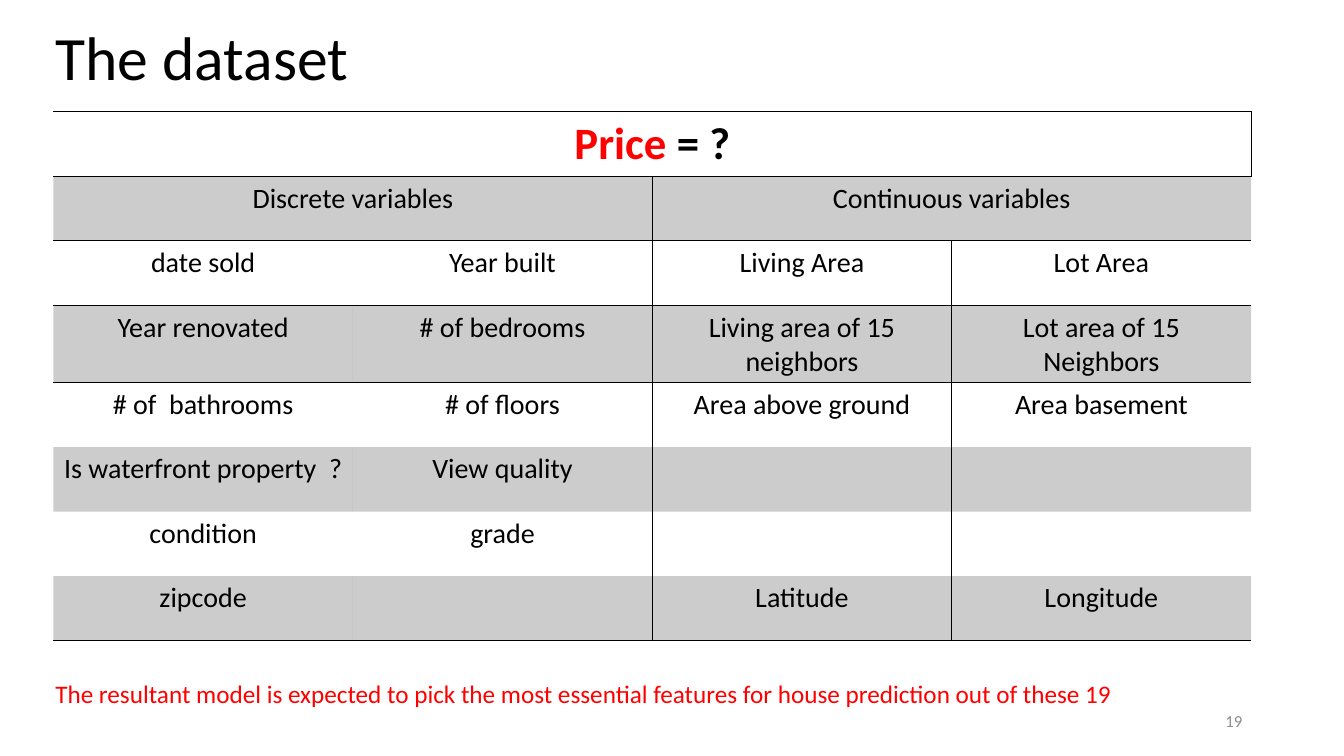
from lxml import etree
from pptx import Presentation
from pptx.dml.color import RGBColor
from pptx.enum.text import MSO_ANCHOR, PP_ALIGN
from pptx.oxml.ns import qn
from pptx.util import Inches, Pt

LEFT, CENTER, RIGHT = PP_ALIGN.LEFT, PP_ALIGN.CENTER, PP_ALIGN.RIGHT
TOP, MIDDLE = MSO_ANCHOR.TOP, MSO_ANCHOR.MIDDLE
FONT = "Calibri"
BLACK, RED, GRAY = "000000", "FF0000", "8C8C8C"
PLAIN_STYLE = "{2D5ABB26-0587-4C30-8999-92F81FD0307C}"
ROW_HEIGHT, COLUMN_WIDTH = 0.64, 2.97
TITLE_LAYOUT = 5

HEADINGS = ["Discrete variables", "", "Continuous variables", ""]
FEATURES = [
    ["date sold", "Year built", "Living Area", "Lot Area"],
    ["Year renovated", "# of bedrooms",
     "Living area of 15\nneighbors", "Lot area of 15\nNeighbors"],
    ["# of  bathrooms", "# of floors", "Area above ground", "Area basement"],
    ["Is waterfront property  ?", "View quality", "", ""],
    ["condition", "grade", "", ""],
    ["zipcode", "", "Latitude", "Longitude"],
]
# Horizontal rules by row edge, and the first row of each vertical rule
RULED_EDGES = {0, 1, 2, 3, 8}
VERTICAL_STARTS = {2: 1, 3: 2}


def rgb(color):
    return RGBColor.from_string(color)


def write(frame, text, size=20, color=BLACK, bold=False, align=LEFT,
          anchor=TOP, spacing=None, lead="", lead_color=RED):
    """Write one paragraph per line; lead is a coloured opening run."""
    frame.word_wrap = True
    frame.vertical_anchor = anchor
    for number, line in enumerate(text.split("\n")):
        paragraph = frame.add_paragraph() if number else frame.paragraphs[0]
        paragraph.alignment = align
        paragraph.line_spacing = spacing
        paragraph.font.size = Pt(size)
        for part, part_color in ((lead, lead_color), (line, color)):
            if part:
                run = paragraph.add_run()
                run.text = part
                run.font.name = FONT
                run.font.size = Pt(size)
                run.font.bold = bold
                run.font.color.rgb = rgb(part_color)


def add_label(slide, text, left, top, width, height, **text_format):
    label = slide.shapes.add_textbox(
        Inches(left), Inches(top), Inches(width), Inches(height))
    write(label.text_frame, text, **text_format)


def add_title(slide, text):
    title = slide.shapes.title
    title.left, title.top = Inches(0.45), Inches(0.15)
    title.width, title.height = Inches(11.5), Inches(0.9)
    write(title.text_frame, text, size=44, anchor=MIDDLE, spacing=0.9)


def rule_cell(cell, sides):
    """Draw black borders on the given sides, in the order L, R, T, B."""
    properties = cell._tc.get_or_add_tcPr()
    for side in sides:
        line = etree.SubElement(properties, qn(f"a:ln{side}"), w=str(Pt(1)))
        fill = etree.SubElement(line, qn("a:solidFill"))
        etree.SubElement(fill, qn("a:srgbClr"), val=BLACK)


def shade_cell(cell):
    """Fill with black at 20 % opacity."""
    cell.fill.solid()
    cell.fill.fore_color.rgb = rgb(BLACK)
    color = cell._tc.tcPr.find(f"{qn('a:solidFill')}/{qn('a:srgbClr')}")
    etree.SubElement(color, qn("a:alpha"), val="20000")


def format_cell(cell, row, column):
    def vertical(edge):
        return row >= VERTICAL_STARTS.get(edge, 99)

    right_edge = column + (cell.span_width if cell.is_merge_origin else 1)
    ruled = {
        "L": vertical(column),
        "R": vertical(right_edge) or row == 0,
        "T": row in RULED_EDGES,
        "B": row + 1 in RULED_EDGES,
    }
    rule_cell(cell, [side for side, shown in ruled.items() if shown])
    if row % 2:
        shade_cell(cell)
    else:
        cell.fill.background()


def add_feature_table(slide):
    rows = [["", "", "", ""], HEADINGS, *FEATURES]
    table = slide.shapes.add_table(
        len(rows), 4, Inches(0.53), Inches(1.11),
        Inches(4 * COLUMN_WIDTH), Inches(len(rows) * ROW_HEIGHT)).table
    table.first_row = table.horz_banding = False
    table._tbl.tblPr.find(qn("a:tableStyleId")).text = PLAIN_STYLE
    for column in table.columns:
        column.width = Inches(COLUMN_WIDTH)
    for row in table.rows:
        row.height = Inches(ROW_HEIGHT)

    # Merged headings
    for row, first, last in ((0, 0, 3), (1, 0, 1), (1, 2, 3)):
        table.cell(row, first).merge(table.cell(row, last))

    # Cells
    for row, texts in enumerate(rows):
        for column, text in enumerate(texts):
            cell = table.cell(row, column)
            if cell.is_spanned:
                continue
            format_cell(cell, row, column)
            if row:
                write(cell.text_frame, text, align=CENTER)
    write(table.cell(0, 0).text_frame, " = ?", size=32, bold=True,
          align=CENTER, lead="Price")


def main():
    deck = Presentation()
    deck.slide_width, deck.slide_height = Inches(13.33), Inches(7.5)
    slide = deck.slides.add_slide(deck.slide_layouts[TITLE_LAYOUT])

    add_title(slide, "The dataset")
    add_label(slide, "19", 9.42, 6.95, 3, 0.4, size=12, color=GRAY,
              align=RIGHT, anchor=MIDDLE)
    add_feature_table(slide)
    add_label(slide, "The resultant model is expected to pick the most "
              "essential features for house prediction out of these 19",
              0.45, 6.68, 11.57, 0.4, size=18, color=RED)

    deck.save("out.pptx")


if __name__ == "__main__":
    main()
